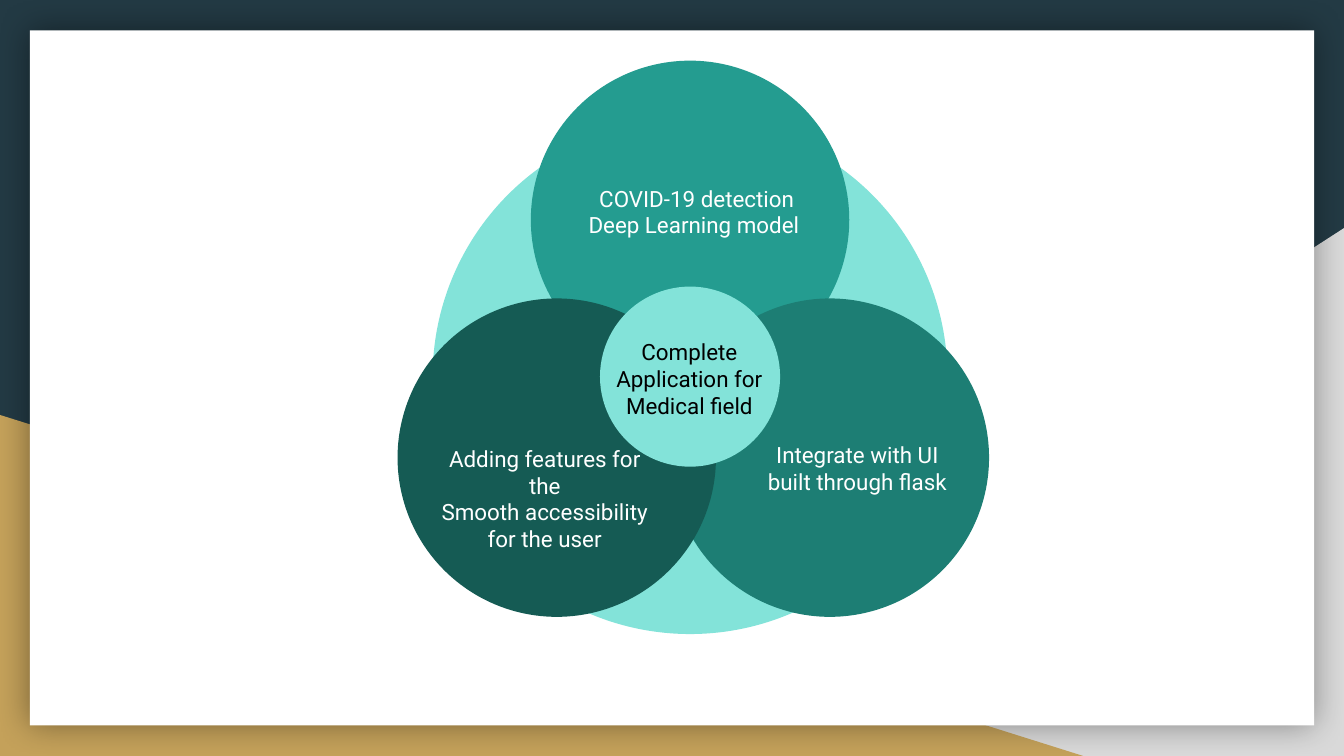
from dataclasses import dataclass

from lxml.etree import SubElement
from pptx import Presentation
from pptx.dml.color import RGBColor
from pptx.enum.shapes import MSO_SHAPE as Shape
from pptx.enum.text import MSO_ANCHOR as Anchor, PP_ALIGN as Align
from pptx.oxml.ns import qn
from pptx.util import Pt

WIDTH, HEIGHT = 720, 405
CENTER_X, CENTER_Y = 369.7, 201.8
LOBE_SIZE = 170.6


@dataclass(frozen=True)
class Theme:
    navy: str = "233A44"
    gray: str = "D9D9D9"
    gold: str = "C4A15A"
    white: str = "FFFFFF"
    black: str = "000000"
    mint: str = "83E3D9"
    teal: str = "249C90"
    mid_teal: str = "1D7E74"
    deep_teal: str = "155B54"
    font: str = "Roboto"
    text_size: float = 12
    inset: float = 7.2


class VennSlide:
    def __init__(self, deck, theme):
        self.theme = theme
        self.page = deck.slides.add_slide(deck.slide_layouts[6])
        background = self.page.background.fill
        background.solid()
        background.fore_color.rgb = RGBColor.from_string(theme.navy)

    def shape(self, kind, frame, color, parent=None):
        shapes = (parent or self.page).shapes
        shape = shapes.add_shape(kind, *map(Pt, frame))
        shape.shadow.inherit = False
        shape.fill.solid()
        shape.fill.fore_color.rgb = RGBColor.from_string(color)
        shape.line.fill.background()
        return shape

    def circle(self, center, size, color, parent=None):
        x, y = center
        frame = (x - size / 2, y - size / 2, size, size)
        return self.shape(Shape.OVAL, frame, color, parent)

    def label(self, frame, lines, color, parent=None):
        shapes = (parent or self.page).shapes
        box = shapes.add_textbox(*map(Pt, frame))
        text = box.text_frame
        text.word_wrap = True
        text.vertical_anchor = Anchor.MIDDLE
        text.margin_left = text.margin_right = Pt(self.theme.inset)
        text.margin_top = text.margin_bottom = Pt(self.theme.inset)
        for index, line in enumerate(lines):
            para = text.add_paragraph() if index else text.paragraphs[0]
            para.alignment = Align.CENTER
            span = para.add_run()
            span.text = line
            span.font.name = self.theme.font
            span.font.size = Pt(self.theme.text_size)
            span.font.color.rgb = RGBColor.from_string(color)

    def lobe(self, center, color, frame, lines):
        """Group a large circle with its white label."""
        group = self.page.shapes.add_group_shape()
        self.circle(center, LOBE_SIZE, color, group)
        self.label(frame, lines, self.theme.white, group)

    def backdrop(self):
        """Draw the two corner triangles and the shadowed white card."""
        theme = self.theme
        right = self.shape(Shape.RIGHT_TRIANGLE, (282.2, 122.2, 437.8, 282.8), theme.gray)
        right._element.spPr.xfrm.set("flipH", "1")
        self.shape(Shape.RIGHT_TRIANGLE, (0, 222.3, 580.3, 182.7), theme.gold)
        card = self.shape(Shape.RECTANGLE, (16, 16.3, 688, 372.4), theme.white)
        self.soft_shadow(card, blur=18, opacity=40)

    def soft_shadow(self, shape, blur, opacity):
        effects = shape._element.spPr.find(qn("a:effectLst"))
        shadow = SubElement(effects, qn("a:outerShdw"), blurRad=str(Pt(blur)),
                            dist="0", dir="0", algn="ctr", rotWithShape="0")
        color = SubElement(shadow, qn("a:srgbClr"), val=self.theme.black)
        SubElement(color, qn("a:alpha"), val=str(opacity * 1000))


def main():
    theme = Theme()
    deck = Presentation()
    deck.slide_width, deck.slide_height = Pt(WIDTH), Pt(HEIGHT)
    slide = VennSlide(deck, theme)
    slide.backdrop()

    slide.circle((CENTER_X, CENTER_Y), 275.8, theme.mint)
    lobes = [
        ((CENTER_X, 117.8), theme.teal, (291.6, 80.6, 163.4, 65.5),
         ["COVID-19 detection", "Deep Learning model "]),
        ((444.6, 245.2), theme.mid_teal, (400.3, 223.2, 118.1, 55.4),
         ["Integrate with UI built through flask"]),
        ((298.3, 245.2), theme.deep_teal, (224.6, 242.6, 134.6, 49),
         ["Adding features for the", "Smooth accessibility for the user"]),
    ]
    for lobe in lobes:
        slide.lobe(*lobe)
    slide.circle((CENTER_X, CENTER_Y), 96.5, theme.mint)
    slide.label((310.3, 175, 118.1, 55.4),
                ["Complete Application for Medical field"], theme.black)

    deck.save("out.pptx")


if __name__ == "__main__":
    main()
